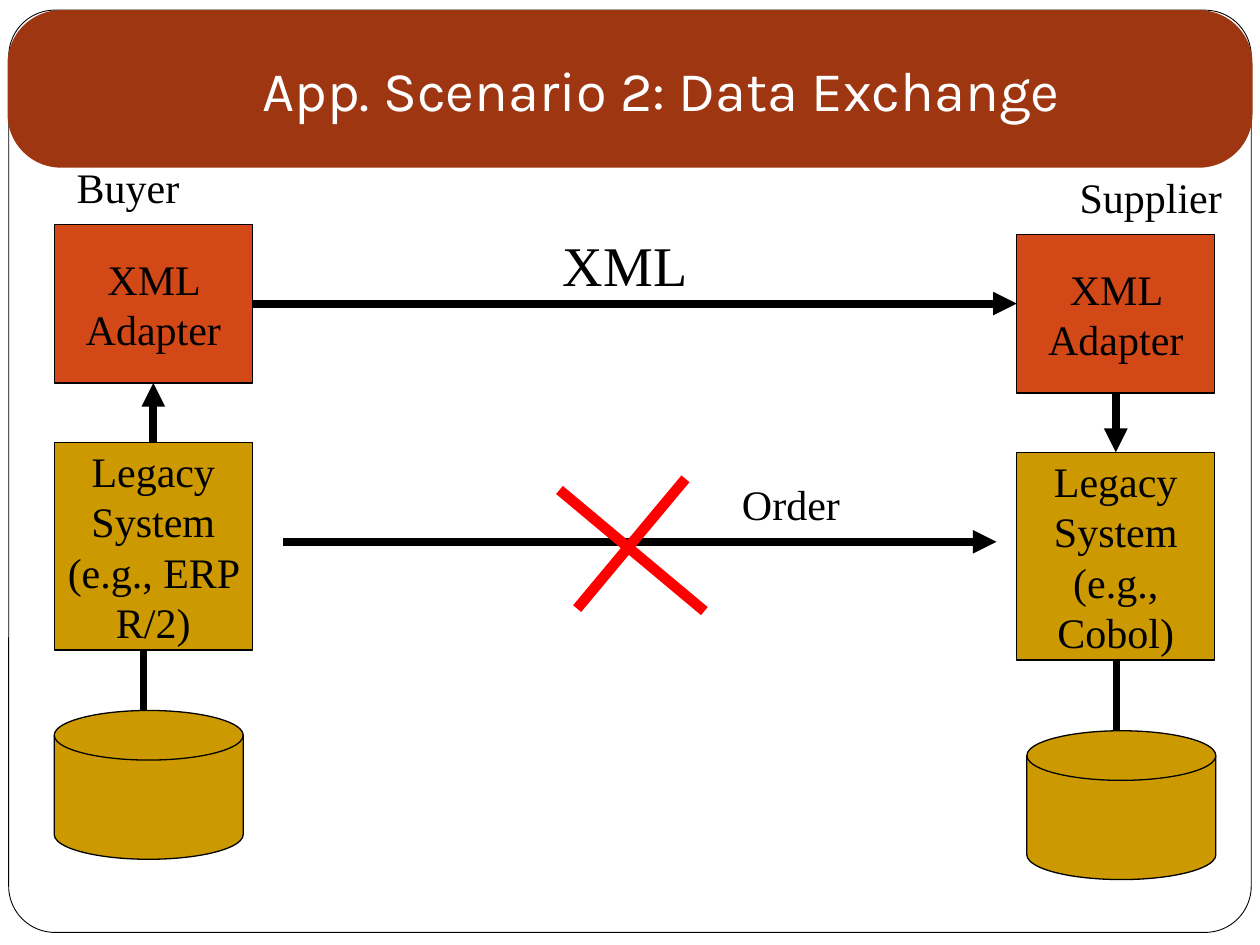
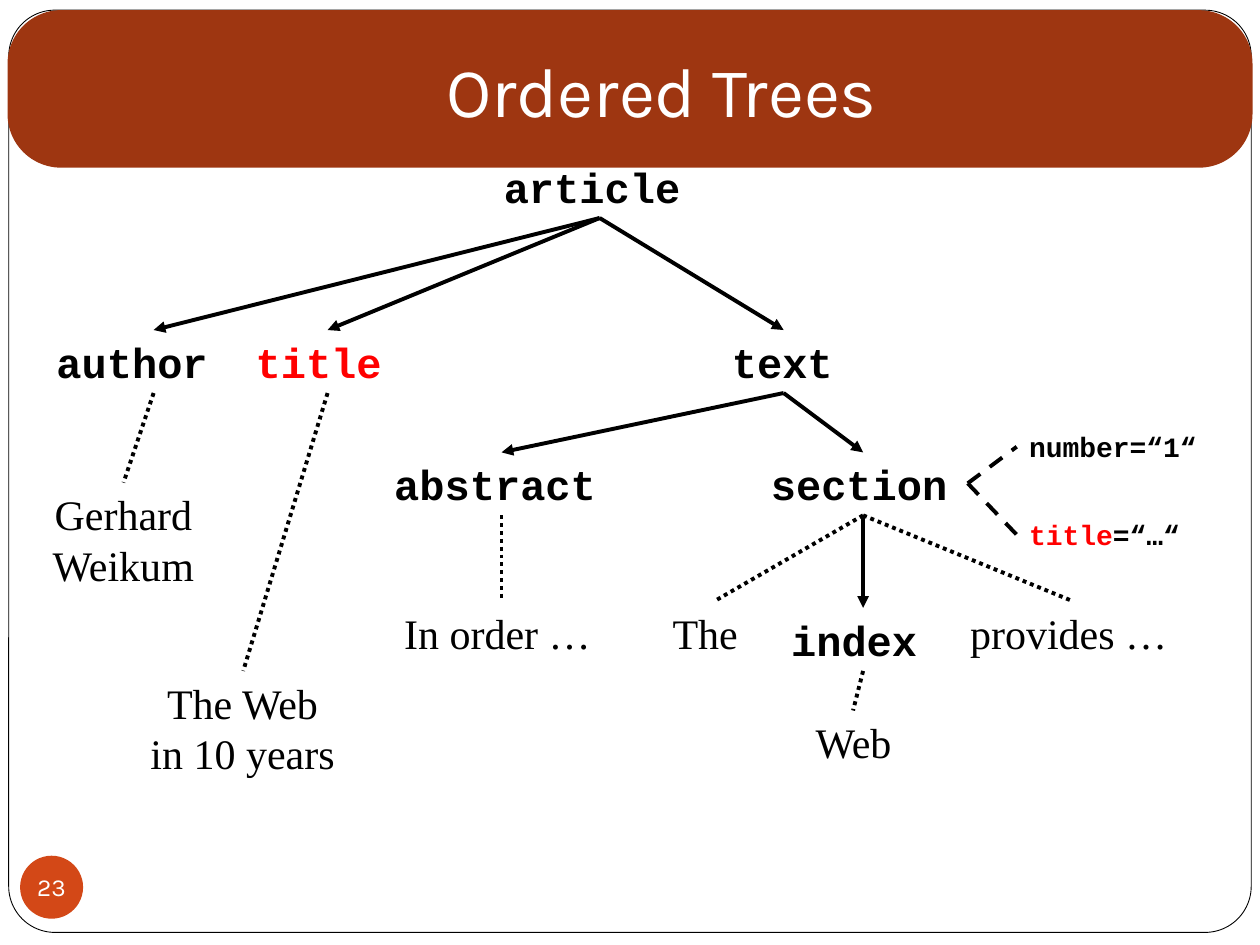
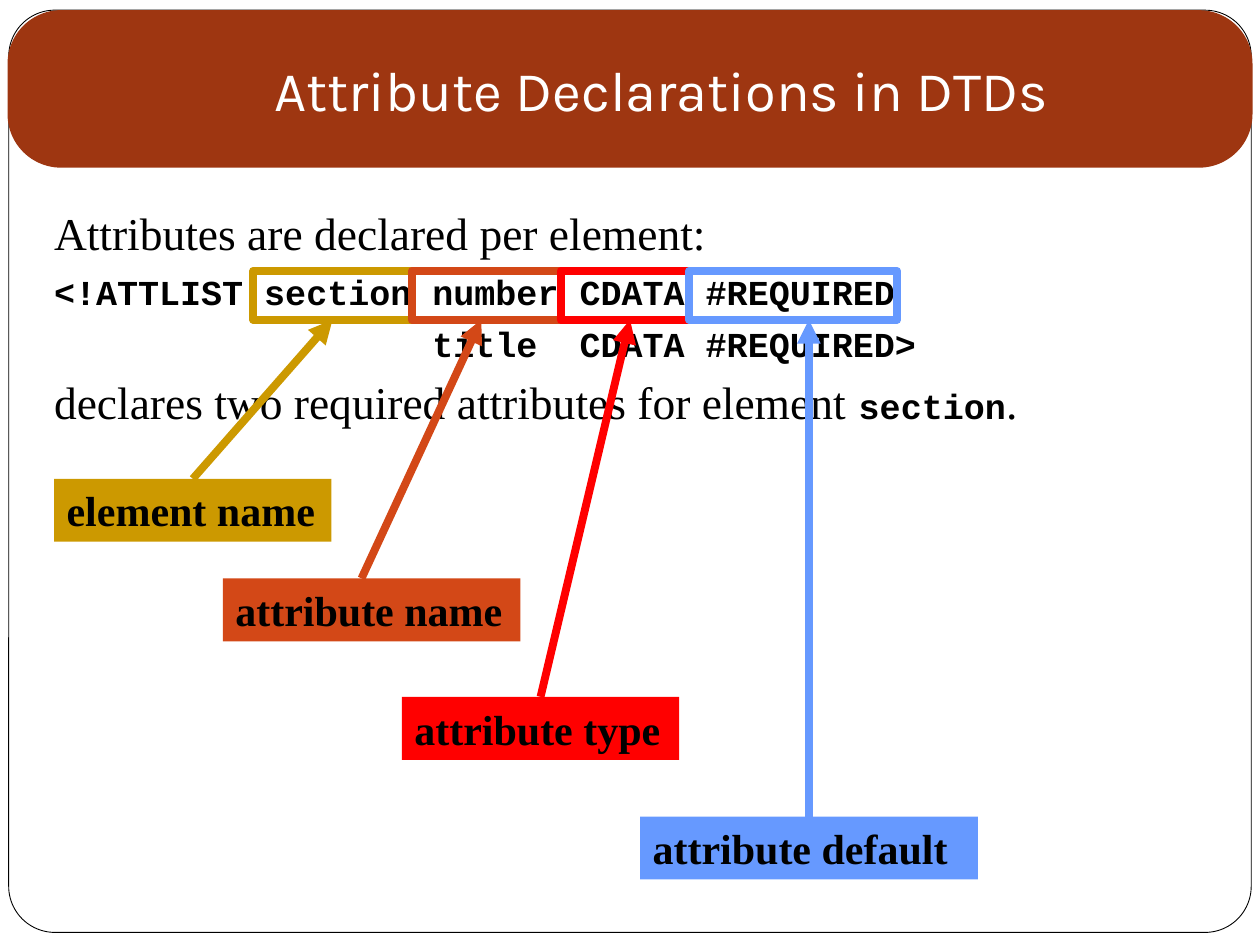
from dataclasses import dataclass
from typing import Optional

import pptx
import pptx.dml.color
import pptx.enum.dml
import pptx.enum.shapes
import pptx.enum.text
import pptx.oxml.ns
import pptx.oxml.xmlchemy
import pptx.util

Pt = pptx.util.Pt
SHAPE = pptx.enum.shapes.MSO_SHAPE
ALIGN = pptx.enum.text.PP_ALIGN
ANCHOR = pptx.enum.text.MSO_ANCHOR
DASH = pptx.enum.dml.MSO_LINE


# Theme
@dataclass(frozen=True)
class Theme:
    black: str = "000000"
    white: str = "FFFFFF"
    band: str = "9E3611"
    orange: str = "D34817"
    gold: str = "CC9900"
    red: str = "FF0000"
    blue: str = "6699FF"
    heading_font: str = "Karla"
    serif: str = "Times New Roman"
    mono: str = "Courier New"
    title: int = 32
    big_title: int = 40
    label: int = 24
    lead: int = 26
    code: int = 20
    attribute: int = 16
    number: int = 14
    hairline: float = 0.5
    outline: float = 0.75
    branch: float = 2.25
    arrow: float = 4.5
    cross: float = 6


T = Theme()
LABEL_H = 36


# Records
@dataclass(frozen=True)
class Run:
    text: str
    size: float = T.label
    font: str = T.serif
    color: str = T.black
    bold: bool = False


@dataclass(frozen=True)
class Side:
    """One trading partner, stacked from adapter to database."""
    name: str
    system: str
    x: float
    y: float
    label_x: float
    disk_x: float
    disk_y: float
    stem_x: float
    sends: bool


@dataclass(frozen=True)
class Node:
    text: str
    x: float
    y: float
    w: float
    cx: float
    parent: str = ""
    leaf: bool = False
    color: str = T.black
    centered: bool = False
    h: float = LABEL_H


@dataclass(frozen=True)
class Callout:
    text: str
    color: str
    x: float
    y: float
    w: float
    tail_x: float
    tip_x: float
    frame_w: float


# Drawing helpers
def rgb(color: str):
    return pptx.dml.color.RGBColor.from_string(color)


def write(sp, *paragraphs, align=ALIGN.LEFT, anchor=ANCHOR.TOP, wrap=True,
          insets=(7.2, 3.6, 7.2, 3.6), space=0, hang=0):
    """Fill a shape; each paragraph is a Run or a list of Runs, \\v breaks a line."""
    tf = sp.text_frame
    tf.word_wrap = wrap
    tf.vertical_anchor = anchor
    tf.margin_left, tf.margin_top, tf.margin_right, tf.margin_bottom = map(Pt, insets)
    for i, runs in enumerate(paragraphs):
        p = tf.paragraphs[0] if i == 0 else tf.add_paragraph()
        p.alignment = align
        if i and space:
            p.space_before = Pt(space)
        if hang:
            pPr = p._p.get_or_add_pPr()
            pPr.set("marL", str(Pt(hang)))
            pPr.set("indent", str(-Pt(hang)))
        for run in [runs] if isinstance(runs, Run) else runs:
            for k, piece in enumerate(run.text.split("\v")):
                if k:
                    p.add_line_break()
                r = p.add_run()
                r.text = piece
                r.font.size = Pt(run.size)
                r.font.name = run.font
                r.font.bold = run.bold
                r.font.color.rgb = rgb(run.color)


def shape(s, kind, x: float, y: float, w: float, h: float,
          fill: Optional[str] = None, line: Optional[str] = None,
          width: float = T.outline, radius: Optional[float] = None):
    sp = s.shapes.add_shape(kind, Pt(x), Pt(y), Pt(w), Pt(h))
    sp.shadow.inherit = False
    if fill:
        sp.fill.solid()
        sp.fill.fore_color.rgb = rgb(fill)
    else:
        sp.fill.background()
    if line:
        sp.line.color.rgb = rgb(line)
        sp.line.width = Pt(width)
    else:
        sp.line.fill.background()
    if radius is not None:
        sp.adjustments[0] = radius
    return sp


def label(s, x: float, y: float, w: float, h: float, *paragraphs, **fmt):
    sp = s.shapes.add_textbox(Pt(x), Pt(y), Pt(w), Pt(h))
    write(sp, *paragraphs, **fmt)
    return sp


def line(s, x1: float, y1: float, x2: float, y2: float, color: str = T.black,
         width: float = T.arrow, arrow: bool = False, dash=None):
    c = s.shapes.add_connector(pptx.enum.shapes.MSO_CONNECTOR.STRAIGHT,
                               Pt(x1), Pt(y1), Pt(x2), Pt(y2))
    c.line.color.rgb = rgb(color)
    c.line.width = Pt(width)
    if dash:
        c.line.dash_style = dash
    element = pptx.oxml.xmlchemy.OxmlElement
    spPr = c._element.spPr
    if arrow:
        end = element("a:tailEnd")
        end.set("type", "triangle")
        spPr.find(pptx.oxml.ns.qn("a:ln")).append(end)
    spPr.append(element("a:effectLst"))
    return c


def new_slide(prs, title: str, size: float = T.title, number: str = ""):
    """Blank slide with the frame, title band and optional page number."""
    s = prs.slides.add_slide(prs.slide_layouts[6])
    shape(s, SHAPE.ROUNDED_RECTANGLE, 5, 5.8, 710, 527, T.white, T.black,
          T.hairline, radius=0.05)
    shape(s, SHAPE.ROUNDED_RECTANGLE, 4.3, 5.8, 711.4, 90, T.band, radius=0.34)
    if number:
        sp = shape(s, SHAPE.OVAL, 11.5, 489, 36, 36, T.orange)
        write(sp, Run(number, T.number, T.heading_font, T.white), align=ALIGN.CENTER,
              anchor=ANCHOR.MIDDLE, wrap=False, insets=(0, 0, 0, 0))
    label(s, 72, 8, 612, 90, Run(title, size, T.heading_font, T.white),
          align=ALIGN.CENTER, anchor=ANCHOR.MIDDLE, insets=(7.2, 3.6, 7.2, 7.2))
    return s


# Slide 1: data exchange
SIDES = [
    Side("Buyer", "Legacy System (e.g., ERP R/2)", 31, 128.2, 36.7, 31, 406, 82, True),
    Side("Supplier", "Legacy System (e.g., Cobol)", 581, 133.9, 609.8, 586.8, 417.6,
         638, False),
]
BOX_W, ADAPTER_H, SYSTEM_H, BOX_GAP = 113.2, 90.7, 118.8, 33.8


def draw_side(s, side: Side):
    system_y = side.y + ADAPTER_H + BOX_GAP
    shape(s, SHAPE.FLOWCHART_MAGNETIC_DISK, side.disk_x, side.disk_y, 108, 85,
          T.gold, T.black)
    for text, y, h, fill in [(side.system, system_y, SYSTEM_H, T.gold),
                             ("XML Adapter", side.y, ADAPTER_H, T.orange)]:
        sp = shape(s, SHAPE.RECTANGLE, side.x, y, BOX_W, h, fill, T.black)
        write(sp, Run(text), align=ALIGN.CENTER, anchor=ANCHOR.MIDDLE)
    ends = [system_y, side.y + ADAPTER_H]
    start, stop = ends if side.sends else ends[::-1]
    cx = side.x + BOX_W / 2
    line(s, cx, start, cx, stop, arrow=True)
    line(s, side.stem_x, side.disk_y, side.stem_x, system_y + SYSTEM_H)
    label(s, side.label_x, side.y - 39.6, 96.4, LABEL_H, Run(side.name))


def exchange_slide(prs):
    s = new_slide(prs, "App. Scenario 2: Data Exchange")
    line(s, 161.5, 309.6, 569.5, 309.6, arrow=True)
    for side in SIDES:
        draw_side(s, side)
    line(s, 144.5, 173.5, 581, 173.5, arrow=True)
    label(s, 314.6, 128.2, 108, 46, Run("XML", T.title))
    label(s, 416.9, 270, 96.4, LABEL_H, Run("Order"))
    # Cross over the direct order
    line(s, 391.7, 273.6, 329.8, 347.8, T.red, T.cross)
    line(s, 319.7, 280, 402.5, 349.2, T.red, T.cross)


# Slide 2: ordered tree
NODES = [
    Node("article", 280.8, 88.6, 124.6, 342.7),
    Node("title", 139, 188.6, 96.5, 187.2, "article", color=T.red),
    Node("text", 411.1, 188.6, 73.4, 447.8, "article"),
    Node("author", 25.2, 188.6, 124.6, 87.8, "article"),
    Node("abstract", 218.2, 258.5, 136, 286.6, "text"),
    Node("section", 433.4, 258.5, 118.8, 493.2, "text"),
    Node("index", 445, 347.4, 96.5, 493.2, "section"),
    Node("The", 377.3, 343.4, 62.6, 408.5, "section", leaf=True),
    Node("provides …", 547.2, 343.4, 130.3, 612.7, "section", leaf=True),
    Node("Web", 456.5, 406, 62.6, 487.5, "index", leaf=True, centered=True),
    Node("In order …", 223.9, 343.4, 124.6, 286.6, "abstract", leaf=True),
    Node("Gerhard Weikum", 19.4, 275.8, 102.2, 70.6, "author", leaf=True,
         centered=True, h=64.8),
    Node("The Web\vin 10 years", 76.3, 383.4, 124.6, 139, "title", leaf=True,
         centered=True, h=64.8),
]
ATTRIBUTES = [
    (242, [Run("number=“1“", T.attribute, T.mono, bold=True)]),
    (292.3, [Run("title", T.attribute, T.mono, T.red, True),
             Run("=“…“", T.attribute, T.mono, bold=True)]),
]


def tree_slide(prs):
    s = new_slide(prs, "Ordered Trees", T.big_title, "23")
    by_name = {node.text: node for node in NODES}
    for node in NODES:
        font = T.serif if node.leaf else T.mono
        label(s, node.x, node.y, node.w, node.h,
              Run(node.text, font=font, color=node.color, bold=not node.leaf),
              align=ALIGN.CENTER if node.centered else ALIGN.LEFT)
        if node.parent:
            parent = by_name[node.parent]
            line(s, parent.cx, parent.y + parent.h, node.cx, node.y, width=T.branch,
                 arrow=not node.leaf, dash=DASH.ROUND_DOT if node.leaf else None)
    for y, runs in ATTRIBUTES:
        label(s, 581, y, 113, 26.6, runs)
        line(s, 553, 276.2, 581, y + 13.3, width=T.branch, dash=DASH.DASH)


# Slide 3: attribute declarations
CALLOUTS = [
    Callout("element name", T.gold, 31, 273.6, 158.4, 110.2, 190, 90.7),
    Callout("attribute name", T.orange, 127.4, 330.5, 170, 206.6, 275, 85),
    Callout("attribute type", T.red, 229.7, 398.2, 158.4, 308.9, 360, 73.4),
    Callout("attribute default", T.blue, 365.8, 466.6, 193, 462.2, 462.2, 118.8),
]
FRAME_X, FRAME_Y, FRAME_H = 144.7, 154.8, 28


def code(text: str) -> Run:
    return Run(text, T.code, T.mono, bold=True)


def declarations_slide(prs):
    s = new_slide(prs, "Attribute Declarations in DTDs")
    label(s, 23.8, 113.8, 678, 364.3,
          Run("Attributes are declared per element:", T.lead),
          code("<!ATTLIST section number CDATA #REQUIRED"),
          code("                  title  CDATA #REQUIRED>"),
          [Run("declares two required attributes for element ", T.lead),
           code("section"), Run(".", T.lead)],
          space=5.8, hang=21.6)
    frame_x = FRAME_X
    for c in CALLOUTS:
        sp = shape(s, SHAPE.RECTANGLE, c.x, c.y, c.w, LABEL_H, c.color)
        write(sp, Run(c.text, bold=True))
        shape(s, SHAPE.RECTANGLE, frame_x, FRAME_Y, c.frame_w, FRAME_H,
              line=c.color, width=T.arrow)
        line(s, c.tail_x, c.y, c.tip_x, FRAME_Y + FRAME_H, c.color, arrow=True)
        frame_x += c.frame_w


def main():
    prs = pptx.Presentation()
    prs.slide_width, prs.slide_height = Pt(720), Pt(540)
    exchange_slide(prs)
    tree_slide(prs)
    declarations_slide(prs)
    prs.save("out.pptx")


if __name__ == "__main__":
    main()
